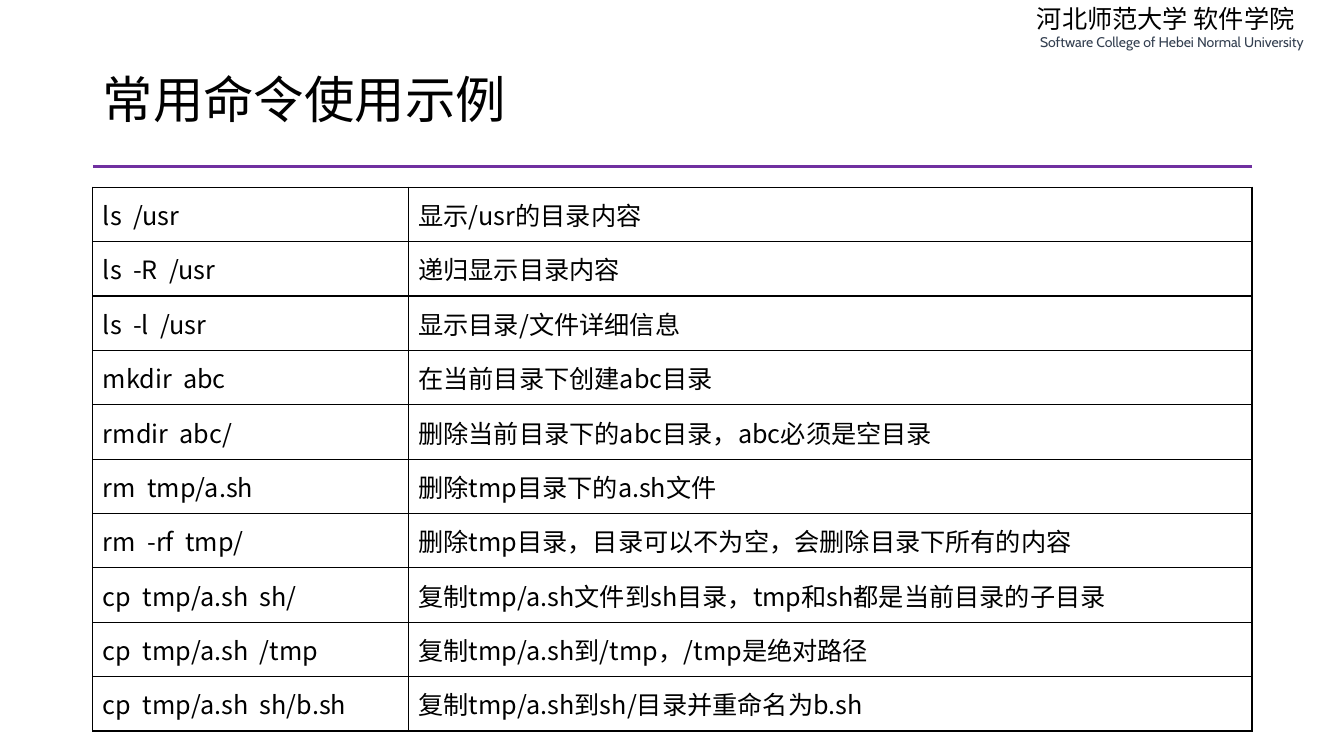
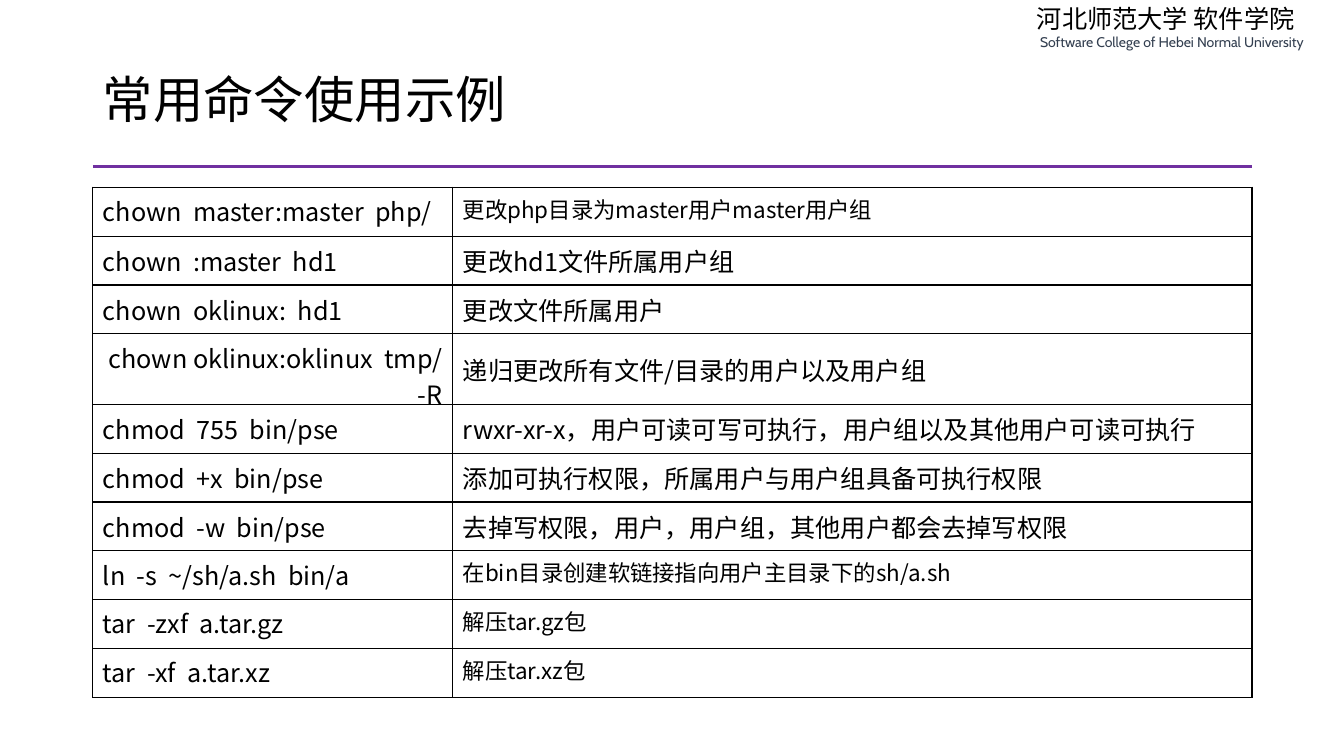
from dataclasses import dataclass

from lxml.etree import SubElement
from pptx import Presentation
from pptx.dml.color import RGBColor
from pptx.enum.shapes import MSO_CONNECTOR
from pptx.enum.text import MSO_ANCHOR, PP_ALIGN
from pptx.oxml import parse_xml
from pptx.oxml.ns import nsdecls, qn
from pptx.util import Cm, Pt


@dataclass(frozen=True)
class Theme:
    ink: str = "000000"
    slate: str = "333F50"
    purple: str = "7030A0"
    paper: str = "FFFFFF"
    body_font: str = "Noto Sans CJK SC"
    school_font: str = "Noto Sans CJK JP"
    english_font: str = "Cabin"
    title_size: int = 36
    body_size: int = 18
    small_size: int = 16
    caption_size: int = 10
    rule_width: float = 2.25
    border_width: int = 1


THEME = Theme()
LEFT, WIDTH = Cm(2.34), Cm(29.21)
TABLE_TOP = Cm(4.72)
TITLE = "常用命令使用示例"


@dataclass(frozen=True)
class Example:
    """One command; a compact row sits at the top with a smaller description."""
    command: str
    meaning: str
    compact: bool = False
    align: PP_ALIGN = PP_ALIGN.LEFT


FILE_EXAMPLES = [
    Example("ls  /usr", "显示/usr的目录内容"),
    Example("ls  -R  /usr", "递归显示目录内容"),
    Example("ls  -l  /usr", "显示目录/文件详细信息"),
    Example("mkdir  abc", "在当前目录下创建abc目录"),
    Example("rmdir  abc/", "删除当前目录下的abc目录，abc必须是空目录"),
    Example("rm  tmp/a.sh", "删除tmp目录下的a.sh文件"),
    Example("rm  -rf  tmp/", "删除tmp目录，目录可以不为空，会删除目录下所有的内容"),
    Example("cp  tmp/a.sh  sh/", "复制tmp/a.sh文件到sh目录，tmp和sh都是当前目录的子目录"),
    Example("cp  tmp/a.sh  /tmp", "复制tmp/a.sh到/tmp，/tmp是绝对路径"),
    Example("cp  tmp/a.sh  sh/b.sh", "复制tmp/a.sh到sh/目录并重命名为b.sh"),
]

PERMISSION_EXAMPLES = [
    Example("chown  master:master  php/", "更改php目录为master用户master用户组", compact=True),
    Example("chown  :master  hd1", "更改hd1文件所属用户组"),
    Example("chown  oklinux:  hd1", "更改文件所属用户"),
    Example("chown oklinux:oklinux  tmp/ -R", "递归更改所有文件/目录的用户以及用户组",
            align=PP_ALIGN.RIGHT),
    Example("chmod  755  bin/pse", "rwxr-xr-x，用户可读可写可执行，用户组以及其他用户可读可执行"),
    Example("chmod  +x  bin/pse", "添加可执行权限，所属用户与用户组具备可执行权限"),
    Example("chmod  -w  bin/pse", "去掉写权限，用户，用户组，其他用户都会去掉写权限"),
    Example("ln  -s  ~/sh/a.sh  bin/a", "在bin目录创建软链接指向用户主目录下的sh/a.sh", compact=True),
    Example("tar  -zxf  a.tar.gz", "解压tar.gz包", compact=True),
    Example("tar  -xf  a.tar.xz", "解压tar.xz包", compact=True),
]


def add_run(paragraph, text, size, font=THEME.body_font, color=THEME.ink):
    run = paragraph.add_run()
    run.text = text
    run.font.size = Pt(size)
    run.font.color.rgb = RGBColor.from_string(color)
    run.font.name = font
    # Chinese glyphs take the East Asian typeface
    SubElement(run.font._element, qn("a:ea"), typeface=font)


def add_text_frame(slide, left, top, width, height):
    frame = slide.shapes.add_textbox(left, top, width, height).text_frame
    frame.word_wrap = True
    frame.margin_top = 0
    return frame


def add_school_name(slide):
    frame = add_text_frame(slide, Cm(25.88), Cm(0.08), Cm(7.65), Cm(1.45))
    add_run(frame.paragraphs[0], "河北师范大学 软件学院", THEME.body_size, THEME.school_font)
    english = frame.add_paragraph()
    english._p.get_or_add_pPr().set("marL", str(Cm(0.08)))
    add_run(english, "Software College of Hebei Normal University",
            THEME.caption_size, THEME.english_font, THEME.slate)


def add_title_rule(slide):
    y = Cm(4.19)
    rule = slide.shapes.add_connector(MSO_CONNECTOR.STRAIGHT, LEFT, y, LEFT + WIDTH, y)
    rule.line.color.rgb = RGBColor.from_string(THEME.purple)
    rule.line.width = Pt(THEME.rule_width)
    SubElement(rule._element.spPr, qn("a:effectLst"))


def add_title(slide):
    heading = add_text_frame(slide, LEFT, Cm(1.88), WIDTH, Cm(2.01)).paragraphs[0]
    heading.line_spacing = 0.9
    add_run(heading, TITLE, THEME.title_size)


def add_borders(cell):
    properties = cell._tc.get_or_add_tcPr()
    for position, side in enumerate(("lnL", "lnR", "lnT", "lnB")):
        properties.insert(position, parse_xml(
            f'<a:{side} {nsdecls("a")} w="{Pt(THEME.border_width)}">'
            f'<a:solidFill><a:srgbClr val="{THEME.ink}"/></a:solidFill></a:{side}>'))


def fill_cell(cell, text, size, anchor, align=PP_ALIGN.LEFT):
    cell.fill.background()
    cell.vertical_anchor = anchor
    add_borders(cell)
    paragraph = cell.text_frame.paragraphs[0]
    paragraph.alignment = align
    add_run(paragraph, text, size)


def add_example_table(slide, examples, command_width, row_height):
    table = slide.shapes.add_table(len(examples), 2, LEFT, TABLE_TOP, WIDTH,
                                   row_height * len(examples)).table
    table.first_row = table.horz_banding = False
    table.columns[0].width = command_width
    table.columns[1].width = WIDTH - command_width
    for row, example in zip(table.rows, examples):
        row.height = row_height
        anchor = MSO_ANCHOR.TOP if example.compact else MSO_ANCHOR.MIDDLE
        meaning_size = THEME.small_size if example.compact else THEME.body_size
        command, meaning = row.cells
        fill_cell(command, example.command, THEME.body_size, anchor, example.align)
        fill_cell(meaning, example.meaning, meaning_size, anchor)


def add_example_slide(deck, examples, command_width, row_height):
    slide = deck.slides.add_slide(deck.slide_layouts[6])
    slide.background.fill.solid()
    slide.background.fill.fore_color.rgb = RGBColor.from_string(THEME.paper)
    add_school_name(slide)
    add_title_rule(slide)
    add_title(slide)
    add_example_table(slide, examples, command_width, row_height)


def main():
    deck = Presentation()
    deck.slide_width, deck.slide_height = Cm(33.87), Cm(19.05)
    add_example_slide(deck, FILE_EXAMPLES, Cm(7.95), Cm(1.37))
    add_example_slide(deck, PERMISSION_EXAMPLES, Cm(9.07), Cm(1.23))
    deck.save("out.pptx")


if __name__ == "__main__":
    main()
